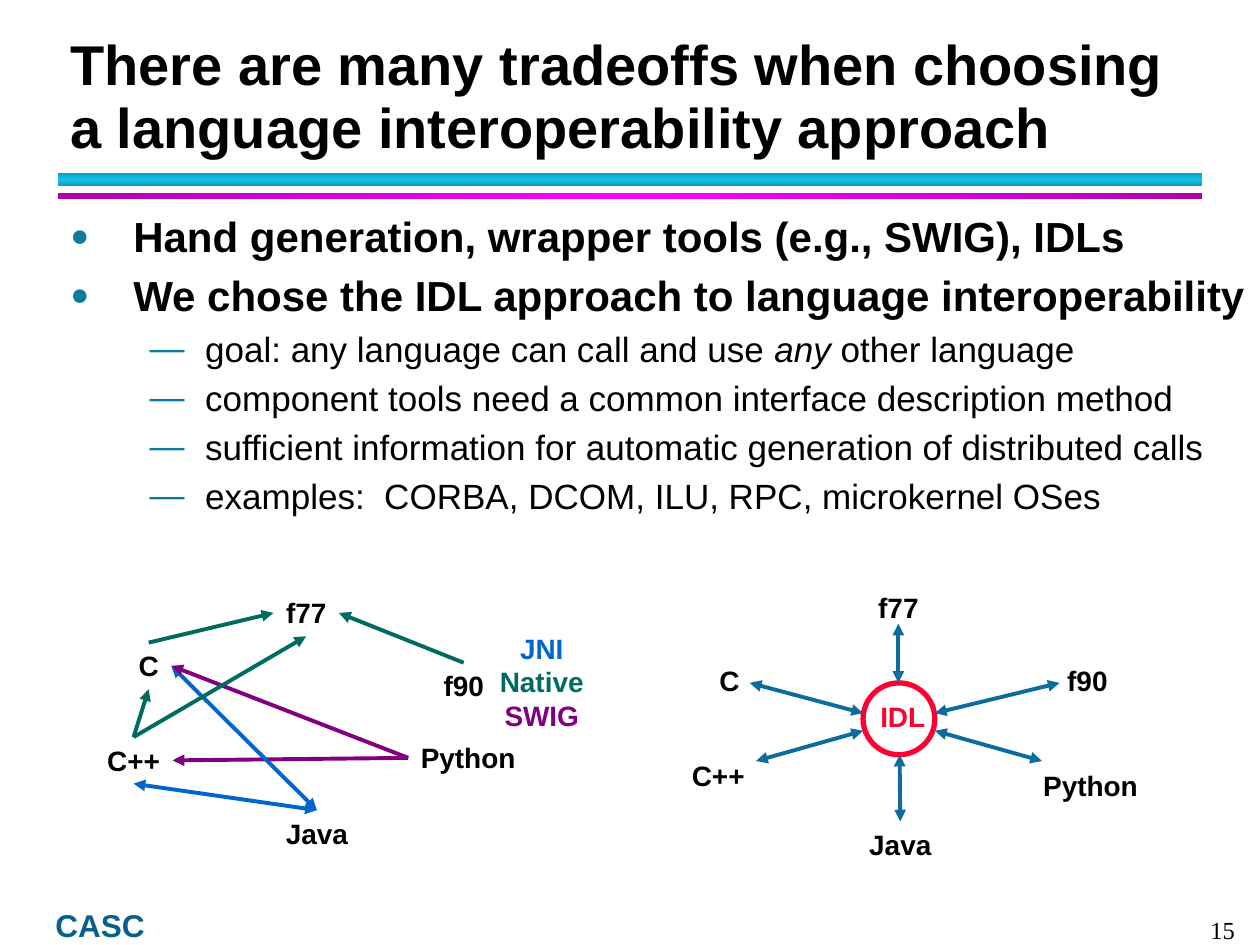
from copy import deepcopy

from lxml.etree import SubElement
from pptx import Presentation
from pptx.dml.color import RGBColor
from pptx.enum.shapes import MSO_CONNECTOR as Connector, MSO_SHAPE as Shape
from pptx.enum.text import MSO_ANCHOR as Anchor, MSO_AUTO_SIZE as AutoSize, PP_ALIGN as Align
from pptx.oxml.ns import qn
from pptx.util import Inches, Pt

BLACK, RED, BULLET, SPOKE = "000000", "FF0033", "0C7B9C", "0C6D9C"
JNI, NATIVE, SWIG = "0066CC", "006B61", "800080"
TOP, LEFT, BOTTOM, RIGHT = range(4)

BULLETS = [
    (0, ["Hand generation, wrapper tools (e.g., SWIG), IDLs"]),
    (0, ["We chose the IDL approach to language interoperability"]),
    (1, ["goal: any language can call and use ", "any", " other language"]),
    (1, ["component tools need a common interface description method"]),
    (1, ["sufficient information for automatic generation of distributed calls"]),
    (1, ["examples:  CORBA, DCOM, ILU, RPC, microkernel OSes"]),
]
LABEL_WIDTHS = {"C": 0.36, "C++": 0.62, "f77": 0.52, "f90": 0.52, "Python": 0.95, "Java": 0.69}
PAIRWISE_LABELS = {"C": (1, 5.1), "C++": (0.75, 5.85), "f77": (2.17, 4.68),
                   "f90": (3.42, 5.26), "Python": (3.24, 5.83), "Java": (2.17, 6.43)}
HUB_LABELS = {"C": (5.61, 5.22), "C++": (5.39, 5.97), "f77": (6.87, 4.64),
              "f90": (8.37, 5.22), "Python": (8.18, 6.05), "Java": (6.8, 6.52)}
# from label and side, to label and side, colour, arrow at both ends
BINDINGS = [
    ("C++", TOP, "C", BOTTOM, NATIVE, False),
    ("C++", BOTTOM, "Java", TOP, JNI, True),
    ("Python", LEFT, "C++", RIGHT, SWIG, False),
    ("C", TOP, "f77", LEFT, NATIVE, False),
    ("f90", TOP, "f77", RIGHT, NATIVE, False),
    ("Java", TOP, "C", RIGHT, JNI, True),
    ("Python", LEFT, "C", RIGHT, SWIG, False),
    ("C++", TOP, "f77", BOTTOM, NATIVE, False),
]
SPOKES = {
    "C": ((6.85, 5.66), (5.95, 5.42)),
    "f77": ((7.13, 5.42), (7.13, 4.95)),
    "f90": ((7.42, 5.66), (8.41, 5.42)),
    "Python": ((7.42, 5.8), (8.27, 6.04)),
    "C++": ((6.85, 5.8), (6, 6.04)),
    "Java": ((7.14, 5.99), (7.14, 6.51)),
}


def rgb(color):
    return RGBColor.from_string(color)


def add_run(paragraph, text, size, color=BLACK, bold=True, italic=False, face="Arial"):
    run = paragraph.add_run()
    run.text = text
    font = run.font
    font.name, font.size, font.bold, font.italic = face, Pt(size), bold, italic
    font.color.rgb = rgb(color)


def add_frame(slide, left, top, width, height, anchor=Anchor.TOP, wrap=True):
    box = slide.shapes.add_textbox(Inches(left), Inches(top), Inches(width), Inches(height))
    frame = box.text_frame
    frame.word_wrap, frame.vertical_anchor = wrap, anchor
    return box, frame


def add_label(slide, left, top, width, lines, height=0.37, wrap=False):
    """Add centred bold lines, each a (text, colour) pair."""
    box, frame = add_frame(slide, left, top, width, height, wrap=wrap)
    frame.auto_size = AutoSize.SHAPE_TO_FIT_TEXT
    for index, (text, color) in enumerate(lines):
        paragraph = frame.add_paragraph() if index else frame.paragraphs[0]
        paragraph.alignment = Align.CENTER
        add_run(paragraph, text, 16, color)
    return box


def add_languages(slide, places):
    return {name: add_label(slide, *place, LABEL_WIDTHS[name], [(name, BLACK)])
            for name, place in places.items()}


def add_bar(slide, top, height, edge, middle, angle):
    """Add a rule whose gradient runs from edge colour to middle and back."""
    bar = slide.shapes.add_shape(Shape.RECTANGLE, Inches(0.46), Inches(top),
                                 Inches(9.08), Inches(height))
    bar.shadow.inherit = False
    bar.line.fill.background()
    bar.fill.gradient()
    bar.fill.gradient_angle = angle
    stop_list = bar._element.spPr.find(".//" + qn("a:gsLst"))
    stop_list.append(deepcopy(stop_list[-1]))
    for stop, position, color in zip(bar.fill.gradient_stops, (0, 0.5, 1), (edge, middle, edge)):
        stop.position = position
        stop.color.rgb = rgb(color)


def add_arrow(slide, start, end, color, both):
    points = [Inches(value) for value in (*start, *end)]
    arrow = slide.shapes.add_connector(Connector.STRAIGHT, *points)
    arrow.line.color.rgb = rgb(color)
    arrow.line.width = Pt(2.25)
    line = arrow.line._get_or_add_ln()
    for tag in ("a:headEnd", "a:tailEnd") if both else ("a:tailEnd",):
        SubElement(line, qn(tag), type="triangle")
    SubElement(arrow._element.spPr, qn("a:effectLst"))
    return arrow


def add_bullet(paragraph, level):
    char, size, margin, hang = (("●", 75, 0.5, 0.5), ("—", 100, 1.07, 0.44))[level]
    properties = paragraph._p.get_or_add_pPr()
    properties.set("marL", str(Inches(margin)))
    properties.set("indent", str(-Inches(hang)))
    bullet_color = SubElement(properties, qn("a:buClr"))
    SubElement(bullet_color, qn("a:srgbClr"), val=BULLET)
    SubElement(properties, qn("a:buSzPct"), val=str(size * 1000))
    SubElement(properties, qn("a:buFont"), typeface="Arial")
    SubElement(properties, qn("a:buChar"), char=char)
    paragraph.level = level


def add_heading(slide):
    add_bar(slide, 1.37, 0.11, "0E9AB9", "12C2E9", 90)
    add_bar(slide, 1.53, 0.05, "B100B1", "FF00FF", 0)
    _, frame = add_frame(slide, 0.46, 0.33, 9.06, 0.99, Anchor.BOTTOM)
    title = frame.paragraphs[0]
    title.line_spacing = Pt(36)
    add_run(title, "There are many tradeoffs when choosing a language interoperability approach", 32)


def add_points(slide):
    _, frame = add_frame(slide, 0.46, 1.63, 9.54, 2.54)
    for index, (level, texts) in enumerate(BULLETS):
        point = frame.add_paragraph() if index else frame.paragraphs[0]
        add_bullet(point, level)
        point.line_spacing = Pt(28)
        point.space_before = Pt(6 if index and level == 0 else 0)
        for text in texts:
            add_run(point, text, 20 if level else 24, bold=level == 0, italic=text == "any")


def add_pairwise_diagram(slide):
    add_label(slide, 3.85, 4.96, 0.9, [("JNI", JNI), ("Native", NATIVE), ("SWIG", SWIG)], 0.9)
    labels = add_languages(slide, PAIRWISE_LABELS)
    for source, source_side, target, target_side, color, both in BINDINGS:
        arrow = add_arrow(slide, (0, 0), (0, 0), color, both)
        arrow.begin_connect(labels[source], source_side)
        arrow.end_connect(labels[target], target_side)


def add_hub_diagram(slide):
    hub = slide.shapes.add_shape(Shape.OVAL, Inches(6.85), Inches(5.42), Inches(0.57), Inches(0.57))
    hub.shadow.inherit = False
    hub.fill.solid()
    hub.fill.fore_color.rgb = rgb("FFFFFF")
    hub.line.color.rgb = rgb(RED)
    hub.line.width = Pt(3)
    labels = add_languages(slide, HUB_LABELS)
    add_label(slide, 6.83, 5.5, 0.67, [("IDL", RED)], wrap=True)
    spokes = {name: add_arrow(slide, *ends, SPOKE, True) for name, ends in SPOKES.items()}
    spokes["Java"].end_connect(labels["Java"], TOP)


def add_footer(slide):
    _, frame = add_frame(slide, 0.44, 7.21, 0.77, 0.28, Anchor.BOTTOM)
    frame.margin_left = frame.margin_right = frame.margin_top = frame.margin_bottom = 0
    frame.paragraphs[0].line_spacing = Pt(20)
    add_run(frame.paragraphs[0], "CASC", 18, "0A6089")
    _, frame = add_frame(slide, 9.42, 7.25, 0.58, 0.25, Anchor.MIDDLE)
    frame.margin_right = Inches(0.2)
    frame.paragraphs[0].alignment = Align.RIGHT
    add_run(frame.paragraphs[0], "15", 14, bold=False, face="Times New Roman")


def main():
    deck = Presentation()
    deck.slide_width, deck.slide_height = Inches(10), Inches(7.5)
    slide = deck.slides.add_slide(deck.slide_layouts[6])
    add_heading(slide)
    add_points(slide)
    add_hub_diagram(slide)
    add_pairwise_diagram(slide)
    add_footer(slide)
    deck.save("out.pptx")


if __name__ == "__main__":
    main()
